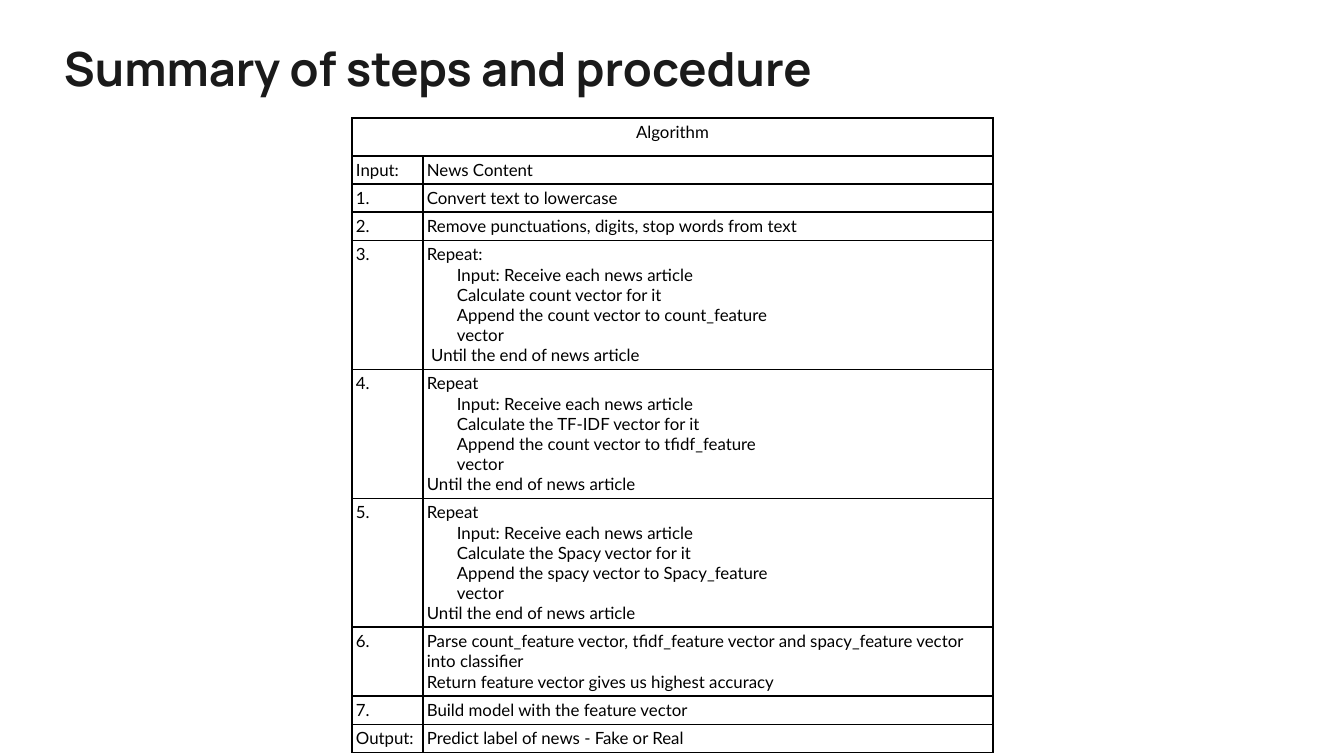
from lxml.etree import SubElement
from pptx import Presentation
from pptx.dml.color import RGBColor
from pptx.enum.text import MSO_ANCHOR, PP_ALIGN
from pptx.oxml.ns import qn
from pptx.util import Pt

TITLE = "Summary of steps and procedure"
HEAD = "Algorithm"
IN = "> "  # marks an indented line
FIRST = IN + "Input: Receive each news article"
LAST = "Until the end of news article"
STEPS = [
    ("Input:", ["News Content"]),
    ("1.", ["Convert text to lowercase"]),
    ("2.", ["Remove punctuations, digits, stop words from text"]),
    ("3.", ["Repeat:", FIRST, IN + "Calculate count vector for it",
            IN + "Append the count vector to count_feature",
            IN + "vector", " " + LAST]),
    ("4.", ["Repeat", FIRST, IN + "Calculate the TF-IDF vector for it",
            IN + "Append the count vector to tfidf_feature",
            IN + "vector", LAST]),
    ("5.", ["Repeat", FIRST, IN + "Calculate the Spacy vector for it",
            IN + "Append the spacy vector to Spacy_feature",
            IN + "vector", LAST]),
    ("6.", ["Parse count_feature vector, tfidf_feature vector and "
            "spacy_feature vector into classifier",
            "Return feature vector gives us highest accuracy"]),
    ("7.", ["Build model with the feature vector"]),
    ("Output:", ["Predict label of news - Fake or Real"]),
]
BLACK, INK, WHITE = "000000", "1A1A1A", "FFFFFF"
LEFT, TOP = 352, 118
COLS = (71, 570)
HEAD_H, LINE_H, PAD, INDENT = 38, 20.2, 4, 30
WRAP = 75  # characters that fit on a line of the wide column


def px(n):
    return round(n * 914400 / 134.4)


def color(code):
    return RGBColor.from_string(code)


def style(para, font, size, code, bold=False):
    for run in para.runs:
        run.font.name = font
        run.font.size = Pt(size)
        run.font.bold = bold
        run.font.color.rgb = color(code)


def border(cell):
    props = cell._tc.get_or_add_tcPr()
    for spot, side in enumerate(("a:lnL", "a:lnR", "a:lnT", "a:lnB")):
        line = props.makeelement(qn(side), {"w": str(Pt(1))})
        props.insert(spot, line)
        fill = SubElement(line, qn("a:solidFill"))
        SubElement(fill, qn("a:srgbClr"), val=BLACK)


def write(cell, lines, align=PP_ALIGN.LEFT):
    cell.margin_left = cell.margin_right = px(PAD)
    cell.margin_top = cell.margin_bottom = px(PAD)
    frame = cell.text_frame
    frame.text = "\n".join(line.removeprefix(IN) for line in lines)
    for para, line in zip(frame.paragraphs, lines):
        para.alignment = align
        if line.startswith(IN):
            para._p.get_or_add_pPr().set("marL", str(px(INDENT)))
        style(para, "Lato", 9, BLACK)


def height(lines):
    count = sum(1 + len(line) // WRAP for line in lines)
    return round(2 * PAD + count * LINE_H)


deck = Presentation()
deck.slide_width, deck.slide_height = px(1344), px(756)
slide = deck.slides.add_slide(deck.slide_layouts[6])

heights = [HEAD_H] + [height(lines) for _, lines in STEPS]
table = slide.shapes.add_table(len(heights), len(COLS), px(LEFT), px(TOP),
                               px(sum(COLS)), px(sum(heights))).table
table.first_row = table.horz_banding = False
for col, wide in zip(table.columns, COLS):
    col.width = px(wide)
for row, high in zip(table.rows, heights):
    row.height = px(high)
for cell in table.iter_cells():
    cell.fill.solid()
    cell.fill.fore_color.rgb = color(WHITE)
    border(cell)

table.cell(0, 0).merge(table.cell(0, 1))
write(table.cell(0, 0), [HEAD], PP_ALIGN.CENTER)
for row, (label, lines) in enumerate(STEPS, 1):
    write(table.cell(row, 0), [label])
    write(table.cell(row, 1), lines)

title = slide.shapes.add_textbox(px(51), px(26), px(1130), px(79)).text_frame
title.word_wrap = True
title.vertical_anchor = MSO_ANCHOR.TOP
title.margin_left = title.margin_right = px(13)
title.margin_top = title.margin_bottom = px(13)
title.text = TITLE
style(title.paragraphs[0], "Manrope", 25.2, INK, bold=True)

deck.save("out.pptx")
